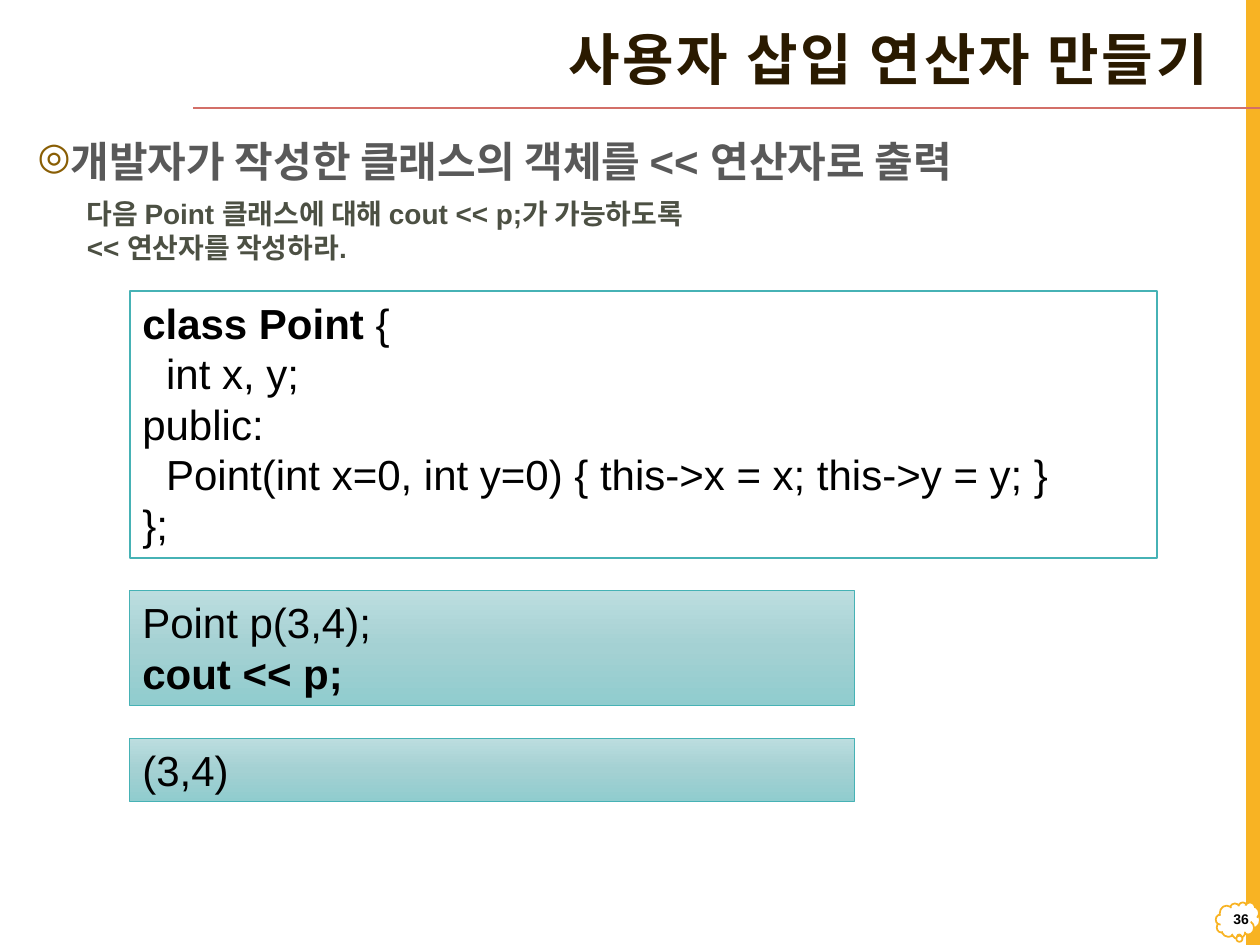
import copy
from dataclasses import dataclass

import pptx
import pptx.dml.color
import pptx.enum.dml
import pptx.enum.shapes
import pptx.enum.text
import pptx.oxml
import pptx.oxml.ns
import pptx.util
from pptx.util import Cm

SHAPES = pptx.enum.shapes.MSO_SHAPE
ALIGN = pptx.enum.text.PP_ALIGN
ANCHOR = pptx.enum.text.MSO_ANCHOR
AUTO_SIZE = pptx.enum.text.MSO_AUTO_SIZE
qn = pptx.oxml.ns.qn


@dataclass(frozen=True)
class Theme:
    paper: str = "FFFFFF"
    accent: str = "F8B323"
    rule: str = "D36F68"
    title: str = "2A1A00"
    heading: str = "595959"
    bullet: str = "895E04"
    task: str = "4C5043"
    code: str = "000000"
    border: str = "46B2B5"
    gradient: tuple[str, ...] = ("BCDDDF", "A4D1D3", "90CCCE")
    font: str = "Arial"
    title_font: str = "Arial Narrow"
    title_size: float = 32
    body_size: float = 24
    task_size: float = 16
    number_size: float = 8


@dataclass(frozen=True)
class Run:
    text: str
    bold: bool = False


@dataclass(frozen=True)
class CodeBox:
    lines: list[list[Run]]
    width: float
    height: float
    border_width: float
    shaded: bool


THEME = Theme()
BOX_LEFT, BOX_TOP, BOX_GAP = 2.62, 5.87, 0.66
CODE_INDENT = 0.48

CODE_BOXES = [
    CodeBox(
        [
            [Run("class Point ", True), Run("{")],
            [Run("\tint x, y;")],
            [Run("public:")],
            [Run("\tPoint(int x=0, int y=0) { this->x = x; this->y = y; }")],
            [Run("};")],
        ],
        20.7, 5.38, 1, False,
    ),
    CodeBox([[Run("Point p(3,4);")], [Run("cout << p;", True)]], 14.61, 2.31, 0.5, True),
    CodeBox([[Run("(3,4)")]], 14.61, 1.27, 0.5, True),
]


def rgb(value: str) -> pptx.dml.color.RGBColor:
    return pptx.dml.color.RGBColor.from_string(value)


def add_child(parent, tag: str, **attributes):
    child = parent.makeelement(qn(tag), {key: str(value) for key, value in attributes.items()})
    parent.append(child)
    return child


def write_text(shape, lines: list[list[Run]], *, size: float, color: str,
               font: str = THEME.font, align=ALIGN.LEFT, anchor=ANCHOR.TOP,
               line_spacing: float | None = None, tracking: float = 0,
               bullet: str = "", tab: float = 0, grow: bool = False) -> None:
    frame = shape.text_frame
    frame.word_wrap = True
    frame.vertical_anchor = anchor
    frame.auto_size = AUTO_SIZE.SHAPE_TO_FIT_TEXT if grow else AUTO_SIZE.NONE
    for index, line in enumerate(lines):
        paragraph = frame.add_paragraph() if index else frame.paragraphs[0]
        paragraph.alignment = align
        if line_spacing:
            paragraph.line_spacing = line_spacing
        properties = paragraph._p.get_or_add_pPr()
        if bullet:
            properties.set("marL", str(Cm(0.64)))
            properties.set("indent", str(Cm(-0.64)))
            bullet_color = add_child(properties, "a:buClr")
            add_child(bullet_color, "a:srgbClr", val=THEME.bullet)
            add_child(properties, "a:buSzPct", val=90000)
            add_child(properties, "a:buChar", char=bullet)
        if tab:
            add_child(add_child(properties, "a:tabLst"), "a:tab", pos=int(Cm(tab)), algn="l")
        for part in line:
            run = paragraph.add_run()
            run.text = part.text
            run.font.name = font
            run.font.size = pptx.util.Pt(size)
            run.font.bold = part.bold
            run.font.color.rgb = rgb(color)
            if tracking:
                run._r.get_or_add_rPr().set("spc", str(round(tracking * 100)))


def add_text(slide, left: float, top: float, width: float, height: float,
             lines: list[list[Run]], **text_format) -> None:
    box = slide.shapes.add_textbox(Cm(left), Cm(top), Cm(width), Cm(height))
    write_text(box, lines, **text_format)


def add_panel(slide, kind, left: float, top: float, width: float, height: float,
              fill: str, line: str = "", line_width: float = 1):
    panel = slide.shapes.add_shape(kind, Cm(left), Cm(top), Cm(width), Cm(height))
    panel.shadow.inherit = False
    panel.fill.solid()
    panel.fill.fore_color.rgb = rgb(fill)
    if line:
        panel.line.color.rgb = rgb(line)
        panel.line.width = pptx.util.Pt(line_width)
    else:
        panel.line.fill.background()
    return panel


def shade(panel, colors: tuple[str, ...]) -> None:
    """Fill a panel with evenly spaced colours from top to bottom."""
    panel.fill.gradient()
    panel.fill.gradient_angle = 270
    stops = panel._element.spPr.find(qn("a:gradFill")).find(qn("a:gsLst"))
    while len(stops) < len(colors):
        stops.append(copy.deepcopy(stops[0]))
    for index, (stop, color) in enumerate(zip(panel.fill.gradient_stops, colors)):
        stop.position = index / (len(colors) - 1)
        stop.color.rgb = rgb(color)


def add_code_box(slide, box: CodeBox, top: float) -> None:
    panel = add_panel(slide, SHAPES.RECTANGLE, BOX_LEFT, top, box.width, box.height,
                      THEME.paper, THEME.border, box.border_width)
    if box.shaded:
        shade(panel, THEME.gradient)
    write_text(panel, box.lines, size=THEME.body_size, color=THEME.code,
               tab=CODE_INDENT, grow=True)


def main() -> None:
    deck = pptx.Presentation()
    deck.slide_width, deck.slide_height = Cm(25.4), Cm(19.05)
    slide = deck.slides.add_slide(deck.slide_layouts[6])

    # Side band, page number cloud and title rule
    add_panel(slide, SHAPES.RECTANGLE, 25.12, 0, 0.28, 19.05, THEME.accent)
    cloud = add_panel(slide, SHAPES.CLOUD_CALLOUT, 24.51, 18.19, 0.89, 0.74,
                      THEME.paper, THEME.accent)
    cloud.adjustments[0], cloud.adjustments[1] = 0.03, 0.43
    title_rule = slide.shapes.add_connector(
        pptx.enum.shapes.MSO_CONNECTOR.STRAIGHT, Cm(25.4), Cm(2.18), Cm(3.89), Cm(2.18))
    title_rule.line.color.rgb = rgb(THEME.rule)
    title_rule.line.width = pptx.util.Pt(1)
    add_child(title_rule._element.spPr, "a:effectLst")

    # Title, heading and page number
    add_text(slide, 3.35, 0.33, 21.26, 1.85, [[Run("사용자 삽입 연산자 만들기", True)]],
             size=THEME.title_size, color=THEME.title, font=THEME.title_font,
             align=ALIGN.RIGHT, anchor=ANCHOR.MIDDLE, line_spacing=0.9, tracking=1.5)
    add_text(slide, 0.51, 2.51, 24.21, 16.21,
             [[Run("개발자가 작성한 클래스의 객체를 << 연산자로 출력", True)]],
             size=THEME.body_size, color=THEME.heading, line_spacing=1.1, bullet="◎")
    add_text(slide, 24.54, 18.08, 0.89, 0.89, [[Run("36", True)]],
             size=THEME.number_size, color=THEME.code, align=ALIGN.RIGHT, anchor=ANCHOR.MIDDLE)

    # Task statement
    add_text(slide, 1.5, 3.84, 15.8, 1.63,
             [[Run("다음 Point 클래스에 대해 cout << p;가 가능하도록", True)],
              [Run("<< 연산자를 작성하라.", True)]],
             size=THEME.task_size, color=THEME.task, grow=True)

    # Class, usage and output, stacked with equal gaps
    top = BOX_TOP
    for box in CODE_BOXES:
        add_code_box(slide, box, top)
        top += box.height + BOX_GAP

    deck.save("out.pptx")


if __name__ == "__main__":
    main()
